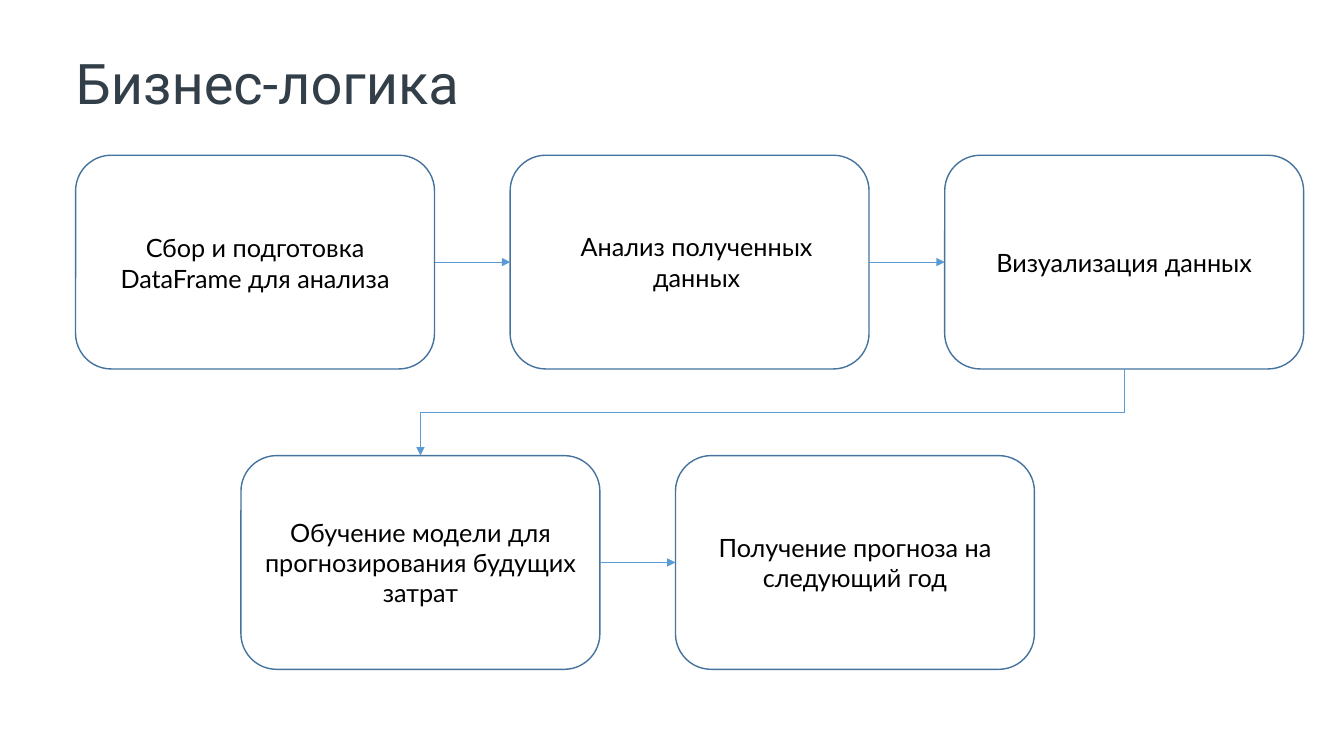
import pptx
import pptx.util
import pptx.dml.color
import pptx.enum.shapes
import pptx.enum.text
import pptx.oxml
import pptx.oxml.ns

PX = 9144  # EMU in one px, 100 px to the inch

WHITE = pptx.dml.color.RGBColor(0xFF, 0xFF, 0xFF)
BLACK = pptx.dml.color.RGBColor(0x00, 0x00, 0x00)
SLATE = pptx.dml.color.RGBColor(0x33, 0x3F, 0x48)
OUTLINE_BLUE = pptx.dml.color.RGBColor(0x43, 0x73, 0x9E)
ARROW_BLUE = pptx.dml.color.RGBColor(0x5B, 0x9B, 0xD5)

# Step grid
STEP_WIDTH, STEP_HEIGHT = 356, 212
STEP_PITCH = 431
LABEL_WIDTH = 329
LINE_HEIGHT, LABEL_PADDING = 30, 10

# Each row: left, top, steps; each step: text, line count, label shift
ROWS = [
    (75, 154, [
        ("Сбор и подготовка DataFrame для анализа", 2, (0, 1)),
        ("Анализ полученных данных", 2, (7, 0)),
        ("Визуализация данных", 1, (0, 0)),
    ]),
    (239, 452, [
        ("Обучение модели для прогнозирования будущих затрат", 3, (0, 0)),
        ("Получение прогноза на следующий год", 2, (0, 0)),
    ]),
]


def px(length):
    return pptx.util.Emu(round(length * PX))


def style_font(paragraph, name, size, color):
    paragraph.font.name = name
    paragraph.font.size = pptx.util.Pt(size)
    paragraph.font.color.rgb = color


def add_title(slide, text):
    box = slide.shapes.add_textbox(px(75), px(48), px(1183), px(212))
    frame = box.text_frame
    frame.word_wrap = True
    frame.margin_left = frame.margin_right = 0
    frame.margin_top = frame.margin_bottom = 0
    frame.text = text
    style_font(frame.paragraphs[0], "Roboto", 40, SLATE)


def add_label(slide, text, line_count, center_x, center_y):
    height = LINE_HEIGHT * line_count + LABEL_PADDING
    label = slide.shapes.add_textbox(
        px(center_x - LABEL_WIDTH / 2), px(center_y - height / 2),
        px(LABEL_WIDTH), px(height))
    label.fill.solid()
    label.fill.fore_color.rgb = WHITE
    frame = label.text_frame
    frame.word_wrap = True
    frame.auto_size = pptx.enum.text.MSO_AUTO_SIZE.SHAPE_TO_FIT_TEXT
    frame.text = text
    paragraph = frame.paragraphs[0]
    paragraph.alignment = pptx.enum.text.PP_ALIGN.CENTER
    style_font(paragraph, "Lato", 18, BLACK)


def add_step(slide, left, top, text, line_count, shift):
    add_label(slide, text, line_count,
              left + STEP_WIDTH / 2 + shift[0], top + STEP_HEIGHT / 2 + shift[1])
    step = slide.shapes.add_shape(
        pptx.enum.shapes.MSO_SHAPE.ROUNDED_RECTANGLE,
        px(left), px(top), px(STEP_WIDTH), px(STEP_HEIGHT))
    step.shadow.inherit = False
    step.fill.background()
    step.line.color.rgb = OUTLINE_BLUE
    step.line.width = pptx.util.Pt(1)
    return step


def style_arrow(connector):
    connector.line.color.rgb = ARROW_BLUE
    connector.line.width = pptx.util.Pt(0.5)
    line = connector.line._get_or_add_ln()
    line.append(pptx.oxml.parse_xml(
        "<a:tailEnd %s type='triangle'/>" % pptx.oxml.ns.nsdecls("a")))
    connector._element.spPr.append(pptx.oxml.parse_xml(
        "<a:effectLst %s/>" % pptx.oxml.ns.nsdecls("a")))


def add_straight_arrow(slide, source, target):
    connector = slide.shapes.add_connector(
        pptx.enum.shapes.MSO_CONNECTOR.STRAIGHT, 0, 0, 0, 0)
    connector.begin_connect(source, 3)  # right side
    connector.end_connect(target, 1)  # left side
    style_arrow(connector)


def add_elbow_arrow(slide, source, target):
    """Lead from the bottom of source down and left to the top of target."""
    start_x, start_y = source.left + source.width // 2, source.top + source.height
    end_x, end_y = target.left + target.width // 2, target.top
    width, height = end_y - start_y, start_x - end_x  # before the quarter turn
    left = (start_x + end_x - width) // 2
    top = (start_y + end_y - height) // 2
    connector = slide.shapes.add_connector(
        pptx.enum.shapes.MSO_CONNECTOR.ELBOW, left, top, left + width, top + height)
    connector._element.spPr.find(pptx.oxml.ns.qn("a:xfrm")).set("rot", "5400000")
    style_arrow(connector)


def main():
    presentation = pptx.Presentation()
    presentation.slide_width, presentation.slide_height = px(1333), px(750)
    slide = presentation.slides.add_slide(presentation.slide_layouts[6])

    add_title(slide, "Бизнес-логика")

    # Steps, row by row
    rows = [
        [add_step(slide, left + column * STEP_PITCH, top, *step)
         for column, step in enumerate(steps)]
        for left, top, steps in ROWS
    ]

    # Arrows within the rows, then between them
    for row in rows:
        for source, target in zip(row, row[1:]):
            add_straight_arrow(slide, source, target)
    add_elbow_arrow(slide, rows[0][-1], rows[1][0])

    presentation.save("out.pptx")


if __name__ == "__main__":
    main()
